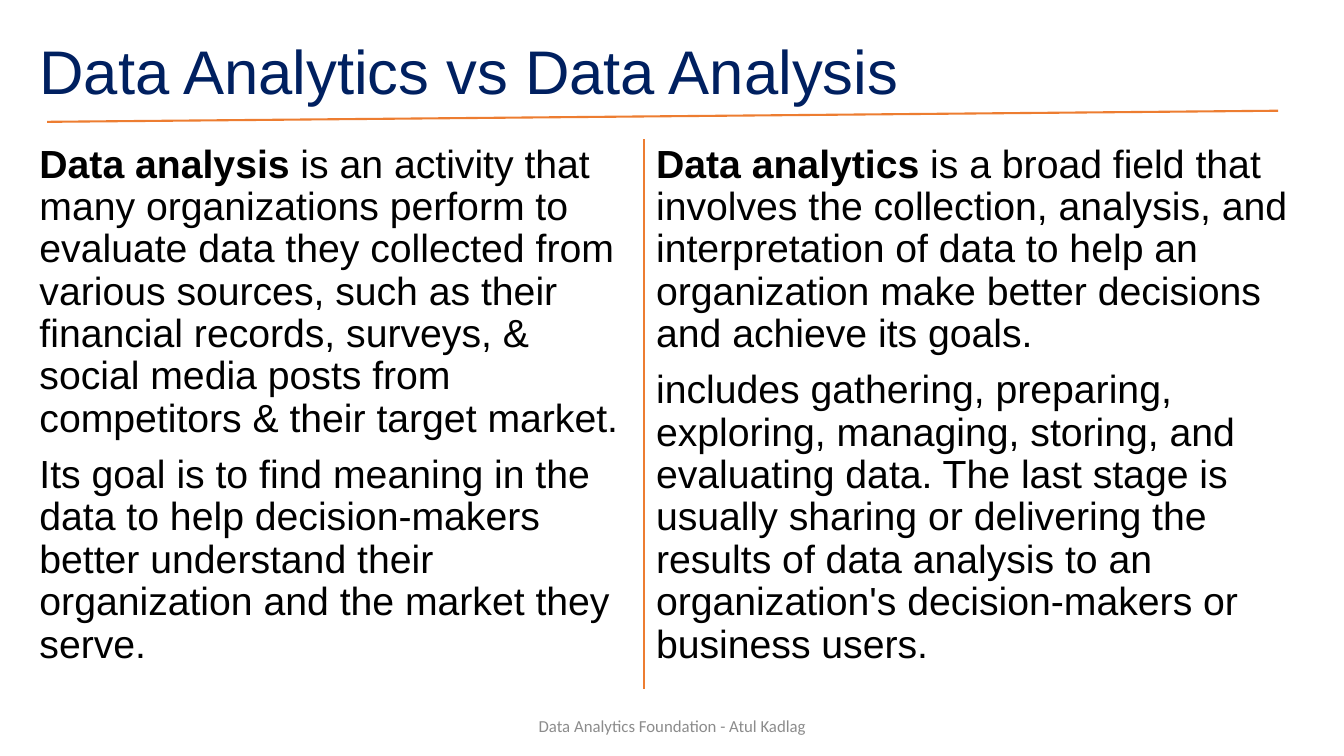
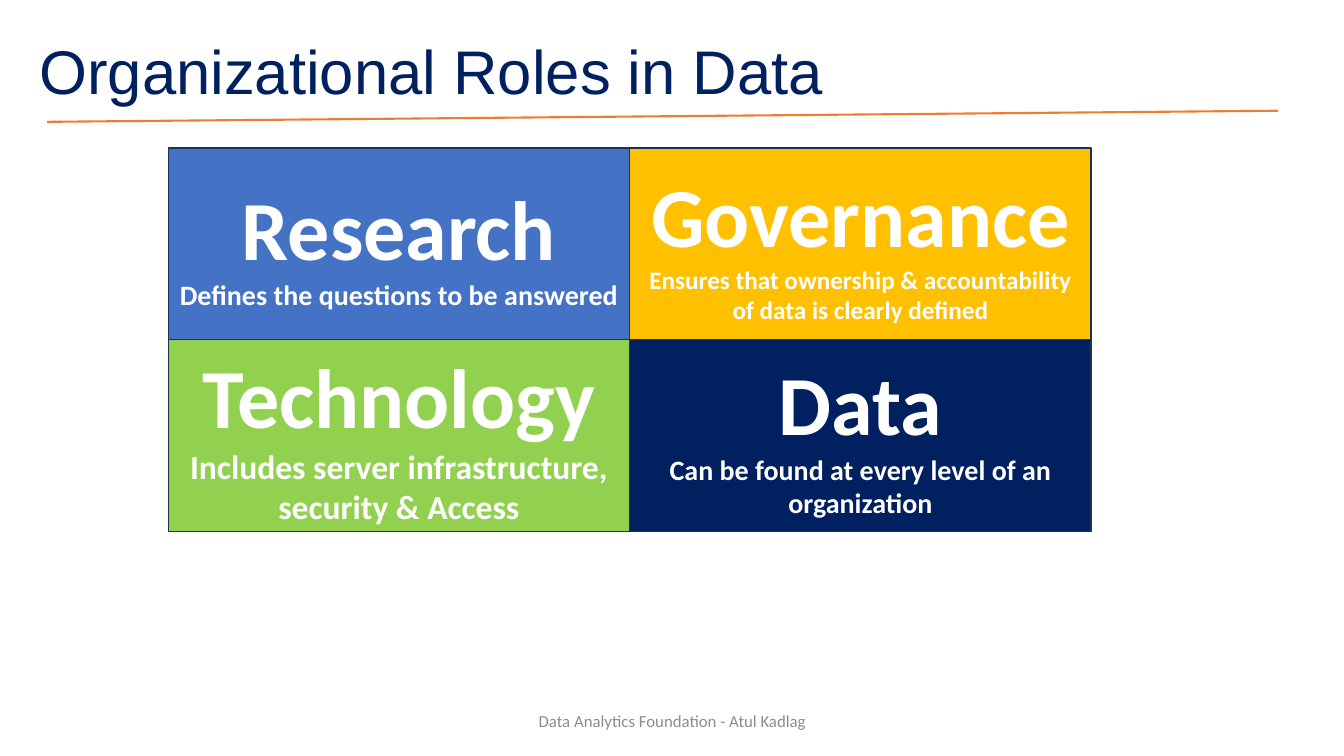
"""Builds two slides on data analytics and the roles behind it."""
from dataclasses import dataclass

from lxml import etree
from pptx import Presentation
from pptx.dml.color import RGBColor
from pptx.enum import shapes, text
from pptx.oxml.ns import qn
from pptx.util import Cm, Pt


@dataclass(frozen=True)
class Theme:
    """Colours, fonts and type sizes of the deck."""
    navy: str = "002060"
    orange: str = "ED7D31"
    black: str = "000000"
    white: str = "FFFFFF"
    grey: str = "8C8C8C"
    edge: str = "1E3256"
    blue: str = "4472C4"
    gold: str = "FFC000"
    green: str = "92D050"
    sans: str = "Arial"
    label: str = "Calibri"
    title: int = 44
    body: int = 28
    head: int = 60
    foot: int = 12


T = Theme()
FOOTER = "Data Analytics Foundation - Atul Kadlag"
LEFT = [
    ("Data analysis", " is an activity that many organizations perform to "
     "evaluate data they collected from various sources, such as their "
     "financial records, surveys, & social media posts from competitors "
     "& their target market."),
    ("", "Its goal is to find meaning in the data to help decision-makers "
     "better understand their organization and the market they serve."),
]
RIGHT = [
    ("Data analytics", " is a broad field that involves the collection, "
     "analysis, and interpretation of data to help an organization make "
     "better decisions and achieve its goals."),
    ("", "includes gathering, preparing, exploring, managing, storing, and "
     "evaluating data. The last stage is usually sharing or delivering the "
     "results of data analysis to an organization's decision-makers or "
     "business users."),
]
ROLES = [
    ("Research", "Defines the questions to be answered", 20, T.blue),
    ("Governance", "Ensures that ownership & accountability of data is "
     "clearly defined", 18, T.gold),
    ("Technology", "Includes server infrastructure, security & Access", 24,
     T.green),
    ("Data", "Can be found at every level of an organization", 20, T.navy),
]


def rgb(code):
    """Turn a hex code into a colour."""
    return RGBColor.from_string(code)


def place(shape, left, top, width, height):
    """Move and size a shape, in centimetres."""
    shape.left, shape.top = Cm(left), Cm(top)
    shape.width, shape.height = Cm(width), Cm(height)


def style(para, face, size, color, bold=False, align=text.PP_ALIGN.CENTER):
    """Set the font and alignment of a paragraph."""
    font = para.font
    font.name, font.size, font.bold = face, Pt(size), bold
    font.color.rgb = rgb(color)
    para.alignment = align


def rule(slide, *ends):
    """Draw an orange line between two points."""
    line = slide.shapes.add_connector(
        shapes.MSO_CONNECTOR.STRAIGHT, *[Cm(end) for end in ends])
    line.line.color.rgb = rgb(T.orange)
    line.line.width = Pt(1.5)
    etree.SubElement(line._element.spPr, qn("a:effectLst"))


def start(deck, layout, title, foot):
    """Add a slide with its title, title rule and footer."""
    slide = deck.slides.add_slide(deck.slide_layouts.get_by_name(layout))
    head = slide.shapes.title
    place(head, 0.74, 0.05, 29.21, 3.68)
    frame = head.text_frame
    frame.text = title
    frame.auto_size = text.MSO_AUTO_SIZE.NONE
    frame.vertical_anchor = text.MSO_ANCHOR.MIDDLE
    para = frame.paragraphs[0]
    style(para, T.sans, T.title, T.navy, align=text.PP_ALIGN.LEFT)
    para.line_spacing = 0.9
    rule(slide, 1.19, 3.07, 32.21, 2.79)

    note = slide.shapes.add_textbox(0, 0, 0, 0)
    place(note, 11.23, foot, 11.43, 1.02)
    frame = note.text_frame
    frame.word_wrap = True
    frame.vertical_anchor = text.MSO_ANCHOR.MIDDLE
    frame.text = FOOTER
    style(frame.paragraphs[0], T.label, T.foot, T.grey)
    return slide


def column(holder, items, *box):
    """Fill a body placeholder with unbulleted paragraphs."""
    place(holder, *box)
    frame = holder.text_frame
    frame.auto_size = text.MSO_AUTO_SIZE.NONE
    for i, (lead, rest) in enumerate(items):
        para = frame.add_paragraph() if i else frame.paragraphs[0]
        style(para, T.sans, T.body, T.black, align=text.PP_ALIGN.LEFT)
        para.line_spacing, para.space_before = 0.9, Pt(10)
        props = para._p.get_or_add_pPr()
        props.set("marL", "0")
        props.set("indent", "0")
        props.insert_element_before(
            props.makeelement(qn("a:buNone")), "a:tabLst", "a:defRPr")
        if lead:
            run = para.add_run()
            run.text, run.font.bold = lead, True
        para.add_run().text = rest


def tile(slide, role, *box):
    """Draw one coloured role box."""
    name, about, size, color = role
    rect = slide.shapes.add_shape(shapes.MSO_SHAPE.RECTANGLE, 0, 0, 0, 0)
    place(rect, *box)
    rect.shadow.inherit = False
    rect.fill.solid()
    rect.fill.fore_color.rgb = rgb(color)
    rect.line.color.rgb = rgb(T.edge)
    rect.line.width = Pt(1)
    frame = rect.text_frame
    frame.word_wrap = True
    frame.vertical_anchor = text.MSO_ANCHOR.MIDDLE
    frame.text = f"{name}\n{about}"
    for para, points in zip(frame.paragraphs, (T.head, size)):
        style(para, T.label, points, T.white, bold=True)


def main():
    """Build and save the deck."""
    deck = Presentation()
    deck.slide_width, deck.slide_height = Cm(33.87), Cm(19.05)

    slide = start(deck, "Two Content", "Data Analytics vs Data Analysis", 17.78)
    column(slide.placeholders[1], LEFT, 0.74, 3.51, 15.09, 14.48)
    column(slide.placeholders[2], RIGHT, 16.28, 3.51, 17.2, 13.41)
    rule(slide, 16.23, 3.51, 16.23, 17.35)

    slide = start(deck, "Title Only", "Organizational Roles in Data", 17.65)
    wide, high = 11.63, 4.83
    for i, role in enumerate(ROLES):
        row, col = divmod(i, 2)
        tile(slide, role, 4.24 + col * wide, 3.73 + row * high, wide, high)

    deck.save("out.pptx")


if __name__ == "__main__":
    main()
